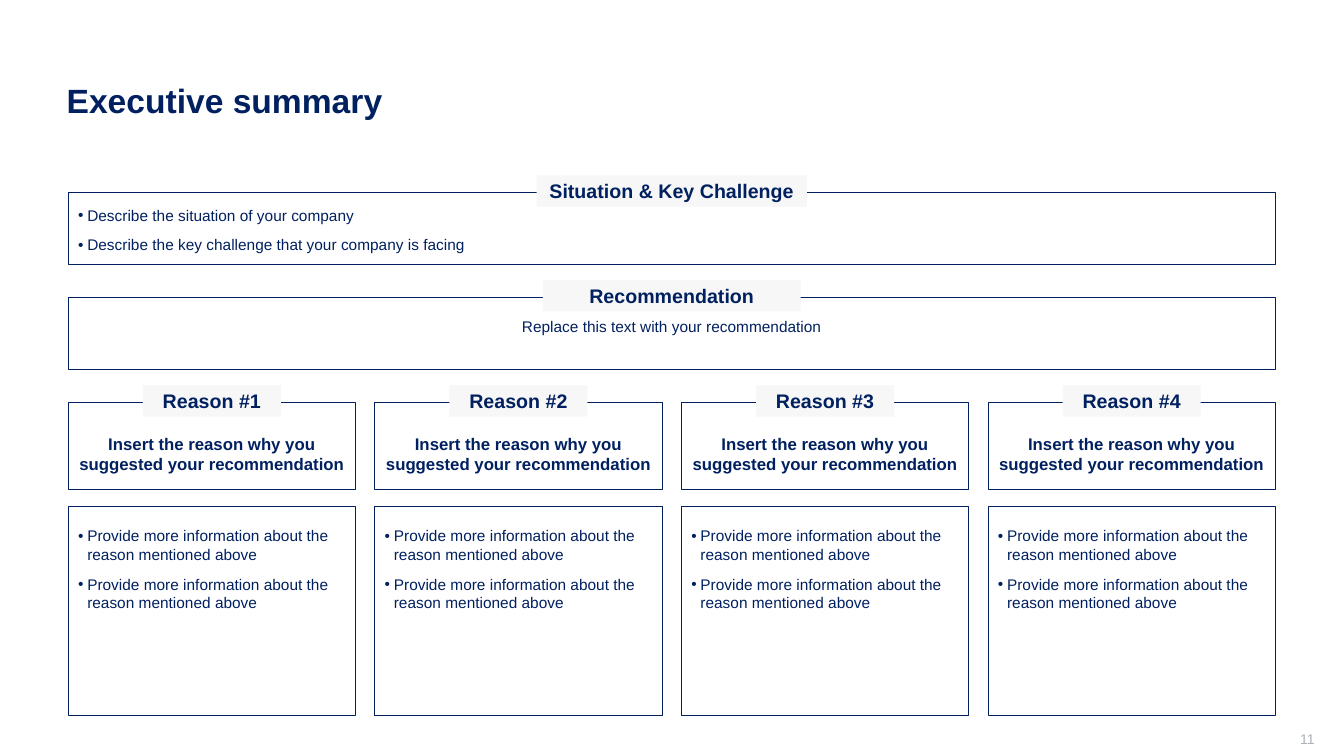
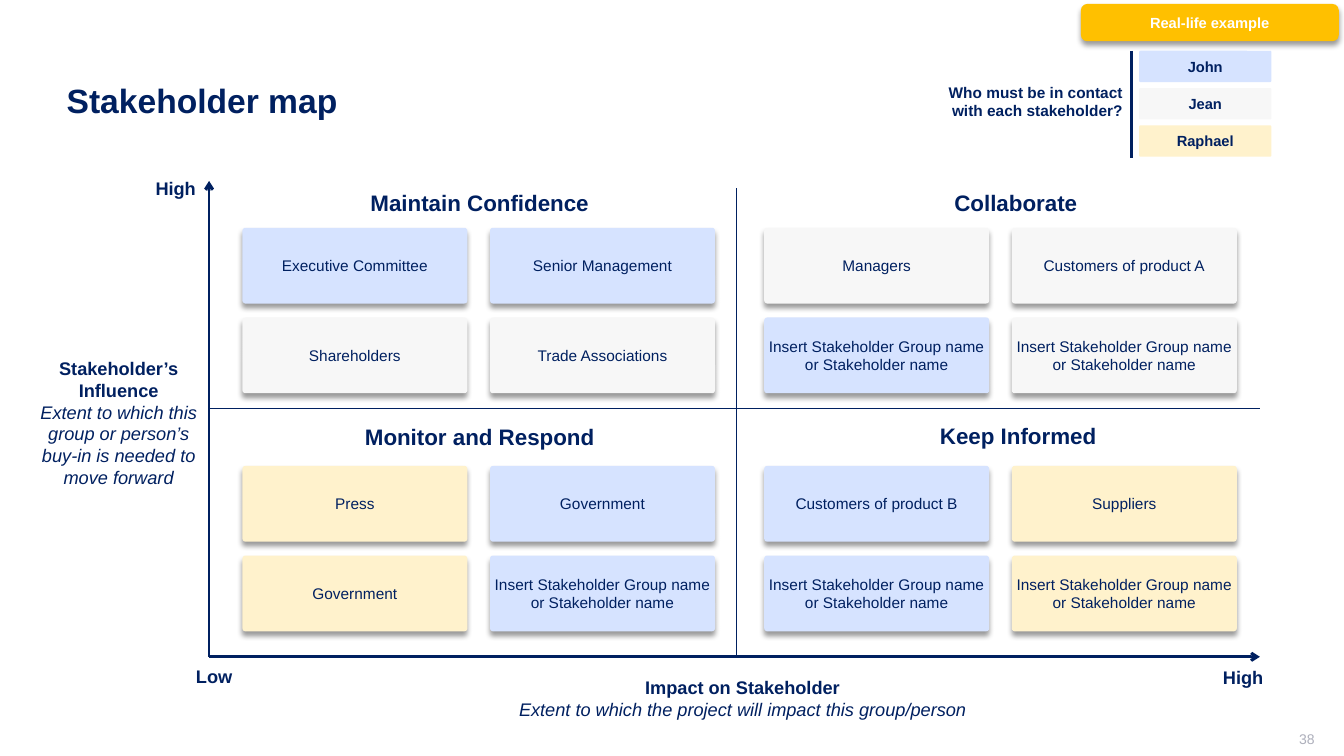
from lxml.etree import SubElement
from pptx import Presentation
from pptx.dml.color import RGBColor
from pptx.enum.shapes import MSO_CONNECTOR, MSO_SHAPE
from pptx.enum.text import MSO_ANCHOR, MSO_AUTO_SIZE, PP_ALIGN
from pptx.oxml.ns import qn
from pptx.util import Cm, Pt

# Shared look
FONT = "Arial"
NAVY, GREY, WHITE = "002060", "ADAFBB", "FFFFFF"
BLUE, PALE, CREAM, GOLD = "D6E3FF", "F7F7F7", "FFF2CC", "FFC000"
LEFT, CENTER, RIGHT = PP_ALIGN.LEFT, PP_ALIGN.CENTER, PP_ALIGN.RIGHT
TOP, MIDDLE = MSO_ANCHOR.TOP, MSO_ANCHOR.MIDDLE

# Insets in cm: left, top, right, bottom
PLAIN = (0.25, 0.13, 0.25, 0.13)
LABEL = (0.25, 0.05, 0.25, 0.05)
BELOW_LABEL = (0.25, 0.51, 0.25, 0.13)
CARD = (0.05, 0.13, 0.05, 0.13)
NOTE = (0.18, 0.1, 0.18, 0.1)


def rgb(color):
    return RGBColor.from_string(color)


def set_text(s, lines, size, bold=False, color=NAVY, align=CENTER, anchor=MIDDLE,
             insets=PLAIN, wrap=True, bullets=False, gap=0, italic_from=None):
    """Fill a shape; lines from index italic_from on are italic, not bold."""
    tf = s.text_frame
    left, top, right, bottom = (Cm(v) for v in insets)
    frame_format = {"auto_size": MSO_AUTO_SIZE.NONE, "word_wrap": wrap,
                    "vertical_anchor": anchor, "margin_left": left,
                    "margin_top": top, "margin_right": right,
                    "margin_bottom": bottom}
    for name, value in frame_format.items():
        setattr(tf, name, value)
    for i, line in enumerate(lines):
        p = tf.paragraphs[0] if i == 0 else tf.add_paragraph()
        p.alignment = align
        if bullets:
            pPr = p._p.get_or_add_pPr()
            pPr.set("marL", str(Cm(0.23)))
            pPr.set("indent", str(-Cm(0.23)))
            SubElement(pPr, qn("a:buFont"), typeface=FONT)
            SubElement(pPr, qn("a:buChar"), char="•")
        if i:
            p.space_before = Pt(gap)
        r = p.add_run()
        r.text = line
        italic = italic_from is not None and i >= italic_from
        font_format = {"name": FONT, "size": Pt(size), "bold": bold and not italic,
                       "italic": italic}
        for name, value in font_format.items():
            setattr(r.font, name, value)
        r.font.color.rgb = rgb(color)


def add_box(slide, box, lines, size, fill=None, line=None, radius=None,
            shadow=False, **text_format):
    kind = MSO_SHAPE.RECTANGLE if radius is None else MSO_SHAPE.ROUNDED_RECTANGLE
    s = slide.shapes.add_shape(kind, *(Cm(v) for v in box))
    if radius is not None:
        s.adjustments[0] = radius
    if fill:
        s.fill.solid()
        s.fill.fore_color.rgb = rgb(fill)
    else:
        s.fill.background()
    if line:
        s.line.color.rgb = rgb(line)
        s.line.width = Pt(0.75)
    else:
        s.line.fill.background()
    s.shadow.inherit = False
    if shadow:
        effects = s._element.spPr.find(qn("a:effectLst"))
        outer = SubElement(effects, qn("a:outerShdw"), blurRad=str(Pt(4)),
                           dist=str(Pt(3)), dir="5400000", algn="t",
                           rotWithShape="0")
        black = SubElement(outer, qn("a:srgbClr"), val="000000")
        SubElement(black, qn("a:alpha"), val="40000")
    set_text(s, lines, size, **text_format)


def add_note(slide, box, lines, size, anchor=TOP, insets=NOTE, **text_format):
    s = slide.shapes.add_textbox(*(Cm(v) for v in box))
    set_text(s, lines, size, anchor=anchor, insets=insets, **text_format)


def add_line(slide, x1, y1, x2, y2, width=0.75, arrow=False):
    s = slide.shapes.add_connector(MSO_CONNECTOR.STRAIGHT,
                                   Cm(x1), Cm(y1), Cm(x2), Cm(y2))
    s.line.color.rgb = rgb(NAVY)
    s.line.width = Pt(width)
    if arrow:
        SubElement(s.line._get_or_add_ln(), qn("a:tailEnd"), type="arrow")
    SubElement(s._element.spPr, qn("a:effectLst"))


def add_titled_slide(prs, title, number, title_width):
    slide = prs.slides.add_slide(prs.slide_layouts[5])
    s = slide.shapes.title
    place = {"left": 1.43, "top": 1.02, "width": title_width, "height": 3.02}
    for name, value in place.items():
        setattr(s, name, Cm(value))
    set_text(s, [title], 24, bold=True, align=LEFT)
    add_note(slide, (25.51, 18.42, 7.62, 0.53), [number], 10, color=GREY,
             align=RIGHT, insets=(0.25, 0, 0, 0.05))
    return slide


# Executive summary
def add_labelled_box(slide, box, label, label_width, lines, size, **text_format):
    """Outlined box with a label sitting on the middle of its top edge."""
    x, y, w, _ = box
    add_box(slide, box, lines, size, line=NAVY, **text_format)
    add_box(slide, (x + (w - label_width) / 2, y - 0.43, label_width, 0.79),
            [label], 14, fill=PALE, bold=True, insets=LABEL)


def add_reason(slide, x, y, w, number):
    add_labelled_box(slide, (x, y, w, 2.2), f"Reason #{number}", 3.48,
                     ["Insert the reason why you suggested your recommendation"],
                     12, bold=True, insets=BELOW_LABEL)
    add_box(slide, (x, y + 2.62, w, 5.28),
            ["Provide more information about the reason mentioned above"] * 2, 11,
            line=NAVY, align=LEFT, anchor=TOP, insets=BELOW_LABEL,
            bullets=True, gap=8)


def executive_summary(prs):
    slide = add_titled_slide(prs, "Executive summary", "11", 30.76)
    x, w, reasons, column = 1.72, 30.42, 4, 7.24
    add_labelled_box(slide, (x, 4.85, w, 1.82), "Situation & Key Challenge", 6.81,
                     ["Describe the situation of your company",
                      "Describe the key challenge that your company is facing"],
                     11, align=LEFT, insets=(0.25, 0.2, 0.25, 0.13),
                     bullets=True, gap=8)
    add_labelled_box(slide, (x, 7.49, w, 1.83), "Recommendation", 6.5,
                     ["Replace this text with your recommendation"], 11,
                     anchor=TOP, insets=BELOW_LABEL)
    pitch = (w - column) / (reasons - 1)
    for i in range(reasons):
        add_reason(slide, x + i * pitch, 10.14, column, i + 1)


# Stakeholder map
GROUP = "Insert Stakeholder Group name or Stakeholder name"

# Heading, heading centre and top, cards left and top, cards row by row
QUADRANTS = [
    ("Maintain Confidence", 12.09, 4.67, 6.11, 5.74,
     [("Executive Committee", BLUE), ("Senior Management", BLUE),
      ("Shareholders", PALE), ("Trade Associations", PALE)]),
    ("Collaborate", 25.6, 4.67, 19.26, 5.74,
     [("Managers", PALE), ("Customers of product A", PALE),
      (GROUP, BLUE), (GROUP, PALE)]),
    ("Monitor and Respond", 12.09, 10.57, 6.11, 11.74,
     [("Press", CREAM), ("Government", BLUE),
      ("Government", CREAM), (GROUP, BLUE)]),
    ("Keep Informed", 25.66, 10.53, 19.26, 11.74,
     [("Customers of product B", BLUE), ("Suppliers", CREAM),
      (GROUP, BLUE), (GROUP, CREAM)]),
]


def add_quadrant(slide, heading, center, top, x, y, cards):
    add_note(slide, (center - 3.5, top, 7, 0.88), [heading], 16, bold=True)
    for i, (name, fill) in enumerate(cards):
        row, col = divmod(i, 2)
        add_box(slide, (x + col * 6.24, y + row * 2.26, 5.67, 1.91), [name], 11,
                fill=fill, radius=0.04, shadow=True, insets=CARD)


def add_axes(slide, x, y, right, top):
    middle_x, middle_y = x + 13.3, y - 6.25
    add_line(slide, x, middle_y, right, middle_y)
    add_line(slide, middle_x, y, middle_x, top + 0.18)
    add_line(slide, x, y, x, top, 2, arrow=True)
    add_line(slide, x, y, right, y, 2, arrow=True)
    ends = [("High", x - 1.53, top - 0.19), ("Low", x - 0.51, y + 0.11),
            ("High", right - 1.11, y + 0.14)]
    for label, left, label_top in ends:
        add_note(slide, (left, label_top, 1.4, 0.76), [label], 13, bold=True,
                 align=LEFT, wrap=False)
    add_note(slide, (x - 4.53, y - 7.65, 4.5, 3.5),
             ["Stakeholder’s Influence",
              "Extent to which this group or person’s buy-in is needed to move forward"],
             13, bold=True, italic_from=1)
    add_note(slide, (x + 6.52, y + 0.39, 13.84, 1.4),
             ["Impact on Stakeholder",
              "Extent to which the project will impact this group/person"],
             13, bold=True, italic_from=1)


def add_legend(slide, x, y):
    add_note(slide, (x - 5.4, y + 0.68, 5.35, 1.24),
             ["Who must be in contact with each stakeholder?"], 11, bold=True,
             align=RIGHT, insets=(0.25, 0.13, 0.16, 0.13))
    add_line(slide, x, y, x, y + 2.69, 2.25)
    people = [("John", BLUE), ("Jean", PALE), ("Raphael", CREAM)]
    for i, (name, fill) in enumerate(people):
        add_box(slide, (x + 0.2, y + i * 0.94, 3.33, 0.79), [name], 10.5,
                fill=fill, radius=0.04, bold=True, insets=CARD)


def stakeholder_map(prs):
    slide = add_titled_slide(prs, "Stakeholder map", "38", 19.56)
    add_axes(slide, 5.27, 16.55, 31.75, 4.56)
    for quadrant in QUADRANTS:
        add_quadrant(slide, *quadrant)
    add_legend(slide, 28.51, 1.28)
    add_box(slide, (27.24, 0.1, 6.5, 0.94), ["Real-life example"], 10.5, fill=GOLD,
            radius=0.17, shadow=True, bold=True, color=WHITE)


def main():
    prs = Presentation()
    prs.slide_width, prs.slide_height = Cm(33.87), Cm(19.05)
    executive_summary(prs)
    stakeholder_map(prs)
    prs.save("out.pptx")


if __name__ == "__main__":
    main()
